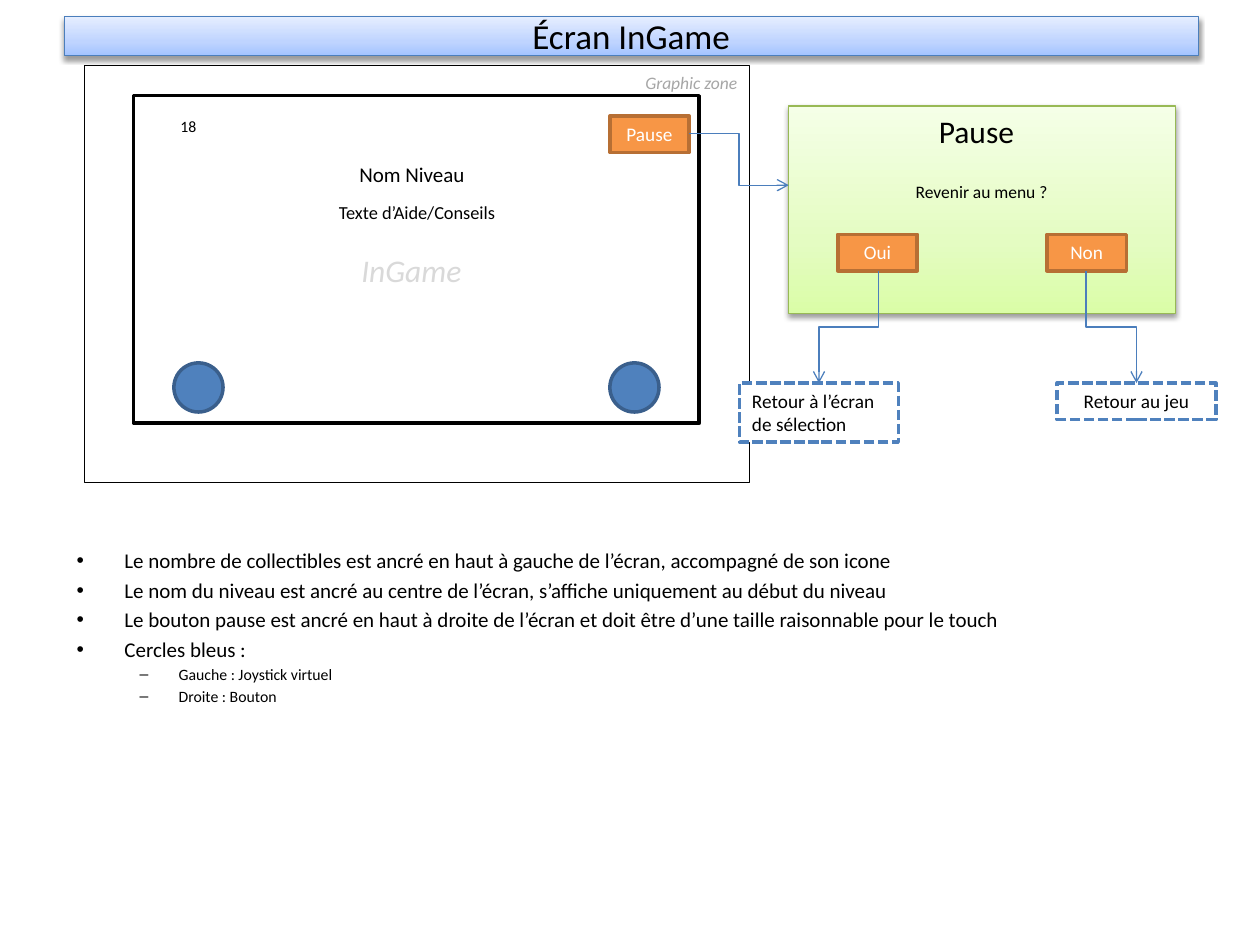
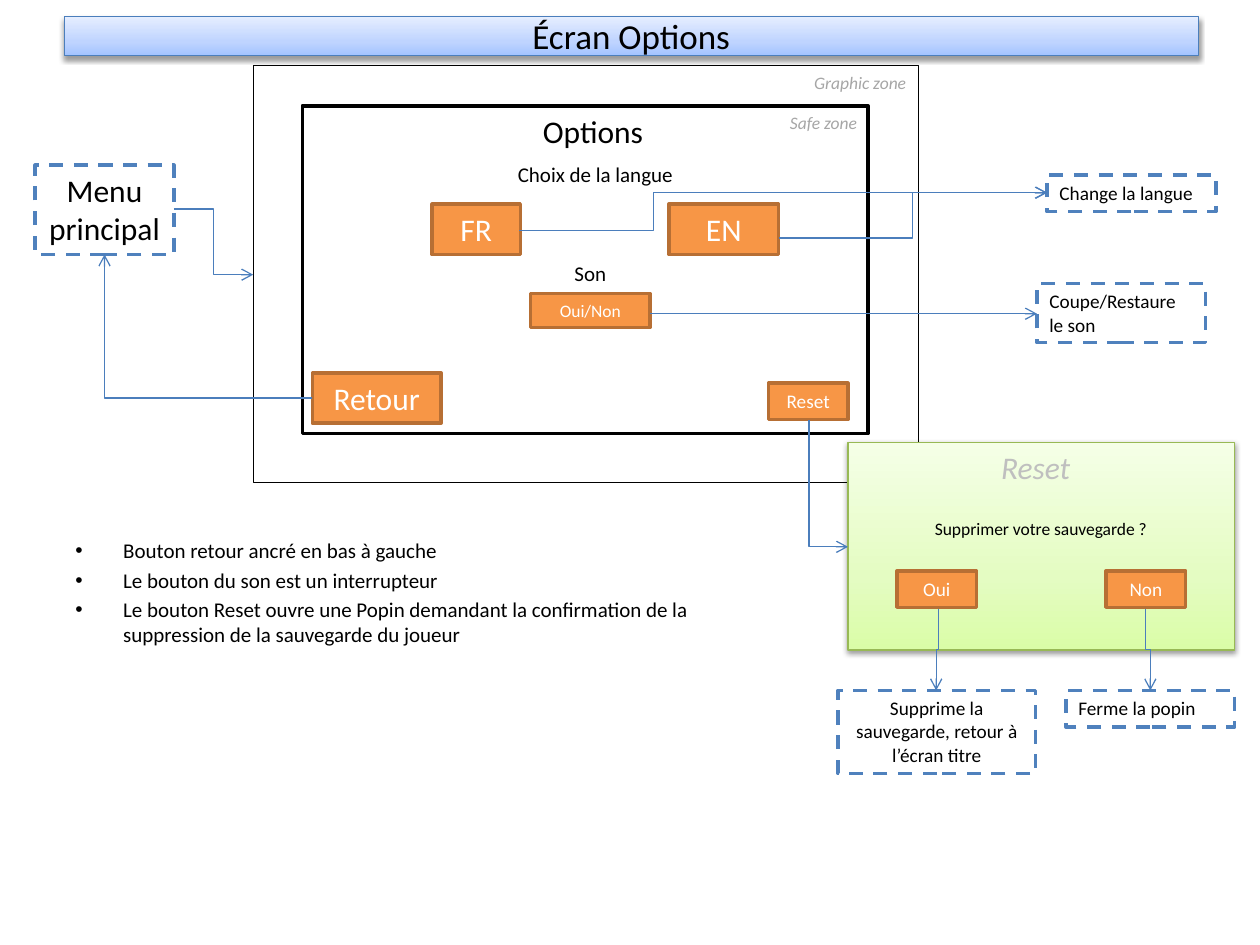
"""Build the two annotated screen mock-ups: in-game and options."""
from dataclasses import dataclass
from typing import Optional

from lxml import etree
from pptx import Presentation
from pptx.dml.color import RGBColor
from pptx.enum import dml, shapes, text
from pptx.oxml.ns import qn
from pptx.util import Inches, Pt

FONT = "Calibri"
BLACK = RGBColor(0x00, 0x00, 0x00)
WHITE = RGBColor(0xFF, 0xFF, 0xFF)
LABEL_GREY = RGBColor(0xA6, 0xA6, 0xA6)
MID_GREY = RGBColor(0xBF, 0xBF, 0xBF)
PALE_GREY = RGBColor(0xD9, 0xD9, 0xD9)
ORANGE = RGBColor(0xF7, 0x96, 0x46)
ORANGE_EDGE = RGBColor(0xB7, 0x6F, 0x34)
BLUE = RGBColor(0x4F, 0x81, 0xBD)
BLUE_EDGE = RGBColor(0x3A, 0x5F, 0x8C)
LINE_BLUE = RGBColor(0x4B, 0x7E, 0xBC)
GREEN_EDGE = RGBColor(0x98, 0xB9, 0x55)
BLUE_STOPS = ((0, RGBColor(0xA4, 0xC4, 0xFF)), (35, RGBColor(0xBF, 0xD4, 0xFF)),
              (100, RGBColor(0xE6, 0xEE, 0xFF)))
GREEN_STOPS = ((0, RGBColor(0xDA, 0xFD, 0xA7)), (35, RGBColor(0xE4, 0xFC, 0xC2)),
               (100, RGBColor(0xF5, 0xFF, 0xE7)))

LEFT, CENTER, RIGHT = text.PP_ALIGN.LEFT, text.PP_ALIGN.CENTER, text.PP_ALIGN.RIGHT
DASH, SHORT_DASH = dml.MSO_LINE.DASH, dml.MSO_LINE.SQUARE_DOT
RECT, OVAL = shapes.MSO_SHAPE.RECTANGLE, shapes.MSO_SHAPE.OVAL


@dataclass(frozen=True)
class Box:
    x: float
    y: float
    w: float
    h: float

    def lengths(self) -> tuple:
        return tuple(Inches(v) for v in (self.x, self.y, self.w, self.h))


@dataclass(frozen=True)
class Label:
    text: str
    size: float
    color: RGBColor = BLACK
    align: text.PP_ALIGN = CENTER
    italic: bool = False


@dataclass(frozen=True)
class Arrow:
    start: tuple
    end: tuple
    down_first: bool = False
    corner: bool = False
    bend: Optional[float] = None


@dataclass(frozen=True)
class Bullet:
    text: str
    level: int = 0


def child(parent, tag: str, **attrs):
    """Append a DrawingML element."""
    return etree.SubElement(parent, qn(tag), {k: str(v) for k, v in attrs.items()})


def style_run(p, size: float, color: RGBColor = BLACK, italic: bool = False) -> None:
    """Format every run of a paragraph."""
    for r in p.runs:
        r.font.name, r.font.size, r.font.italic = FONT, Pt(size), italic
        r.font.color.rgb = color


def write(sp, label: Label, anchor=text.MSO_ANCHOR.TOP) -> None:
    """Put one formatted label into a shape."""
    tf = sp.text_frame
    tf.word_wrap = True
    tf.auto_size = text.MSO_AUTO_SIZE.NONE
    tf.vertical_anchor = anchor
    tf.text = label.text
    p = tf.paragraphs[0]
    p.alignment = label.align
    style_run(p, label.size, label.color, label.italic)


def add_text(s, box: Box, label: Label) -> None:
    """Add a text box."""
    write(s.shapes.add_textbox(*box.lengths()), label)


def add_shape(s, box: Box, fill: RGBColor, edge: RGBColor, width: float = 2,
              label: Optional[Label] = None, kind=RECT, dash=None):
    """Add a flat preset shape, with text if given."""
    sp = s.shapes.add_shape(kind, *box.lengths())
    sp.shadow.inherit = False
    sp.fill.solid()
    sp.fill.fore_color.rgb = fill
    sp.line.color.rgb, sp.line.width = edge, Pt(width)
    if dash is not None:
        sp.line.dash_style = dash
    if label:
        write(sp, label)
    return sp


def add_glow(sp, stops: tuple, edge: RGBColor) -> None:
    """Give a shape an upward gradient, a thin edge and a soft shadow."""
    sp.fill.gradient()
    sp.fill.gradient_angle = 90
    gs_list = sp._element.spPr.find(qn("a:gradFill")).find(qn("a:gsLst"))
    for stop in list(gs_list):
        gs_list.remove(stop)
    for pos, color in stops:
        child(child(gs_list, "a:gs", pos=pos * 1000), "a:srgbClr", val=color)
    sp.line.color.rgb, sp.line.width = edge, Pt(0.75)
    sp.shadow.inherit = False
    effects = sp._element.spPr.find(qn("a:effectLst"))
    shadow = child(effects, "a:outerShdw", blurRad=Pt(3.1), dist=Pt(1.6),
                   dir=5400000, rotWithShape=0)
    child(child(shadow, "a:srgbClr", val=BLACK), "a:alpha", val=38000)


def add_button(s, x: float, y: float, caption: str, w: float = 0.63,
               h: float = 0.29, size: float = 11) -> None:
    """Add an orange button."""
    add_shape(s, Box(x, y, w, h), ORANGE, ORANGE_EDGE, label=Label(caption, size, WHITE))


def add_target(s, box: Box, caption: str, align=LEFT, size: float = 11, dash=DASH) -> None:
    """Add a dashed box naming where an action leads."""
    add_shape(s, box, WHITE, BLUE, label=Label(caption, size, align=align), dash=dash)


def add_arrow(s, arrow: Arrow) -> None:
    """Add a straight or bent arrow; downward starts use a rotated connector."""
    (x1, y1), (x2, y2) = arrow.start, arrow.end
    kinds = shapes.MSO_CONNECTOR
    kind = kinds.STRAIGHT if y1 == y2 else kinds.ELBOW
    rotation = 0
    if arrow.down_first:
        rotation = 90 if x2 < x1 else 270
        cx, cy = (x1 + x2) / 2, (y1 + y2) / 2
        a, b = (y2 - y1) / 2, abs(x2 - x1) / 2
        side = 1 if x2 > x1 else -1
        x1, y1, x2, y2 = cx + side * a, cy - b, cx - side * a, cy + b
    c = s.shapes.add_connector(kind, *(Inches(v) for v in (x1, y1, x2, y2)))
    c.line.color.rgb, c.line.width = LINE_BLUE, Pt(0.75)
    spPr = c._element.spPr
    if rotation:
        spPr.find(qn("a:xfrm")).set("rot", str(rotation * 60000))
    geom = spPr.find(qn("a:prstGeom"))
    if arrow.corner:
        geom.set("prst", "bentConnector2")
    if arrow.bend is not None:
        child(geom.find(qn("a:avLst")), "a:gd", name="adj1",
              fmla=f"val {round(arrow.bend * 100000)}")
    child(spPr.find(qn("a:ln")), "a:tailEnd", type="arrow")
    child(spPr, "a:effectLst")


def add_bullets(s, box: Box, bullets: list) -> None:
    """Add the two-level list of notes below the mock-up."""
    tf = s.shapes.add_textbox(*box.lengths()).text_frame
    tf.word_wrap = True
    for i, item in enumerate(bullets):
        p = tf.paragraphs[0] if i == 0 else tf.add_paragraph()
        size, margin, hang, mark = ((12, 0.38, 0.38, "•"), (9, 0.81, 0.31, "–"))[item.level]
        p.text, p.level, p.space_before = item.text, item.level, Pt(size * 0.2)
        style_run(p, size)
        pPr = p._p.get_or_add_pPr()
        pPr.set("marL", str(Inches(margin)))
        pPr.set("indent", str(-Inches(hang)))
        child(pPr, "a:buFont", typeface="Arial")
        child(pPr, "a:buChar", char=mark)


def add_screen(prs, title: str, x: float, safe_y: float):
    """Add a slide with its title band, graphic zone and safe zone."""
    s = prs.slides.add_slide(prs.slide_layouts[5])
    sp = s.shapes.title
    sp.left, sp.top, sp.width, sp.height = Box(0.51, 0.13, 9, 0.31).lengths()
    add_glow(sp, BLUE_STOPS, LINE_BLUE)
    write(sp, Label(title, 20), text.MSO_ANCHOR.MIDDLE)
    add_shape(s, Box(x, 0.52, 5.28, 3.31), WHITE, BLACK, 0.25)
    add_shape(s, Box(x + 0.39, safe_y, 4.49, 2.6), WHITE, BLACK)
    add_text(s, Box(x + 3.78, 0.52, 1.5, 0.27),
             Label("Graphic zone", 10, LABEL_GREY, RIGHT, True))
    return s


def add_popup(s, x: float, y: float, heading: Label, question: str) -> None:
    """Add a green confirmation panel with its two buttons."""
    panel = add_shape(s, Box(x, y, 3.07, 1.65), WHITE, GREEN_EDGE)
    add_glow(panel, GREEN_STOPS, GREEN_EDGE)
    add_text(s, Box(x + 0.94, y, 1.1, 0.4), heading)
    add_text(s, Box(x + 0.39, y + 0.55, 2.28, 0.27), Label(question, 10))
    for dx, caption in ((0.39, "Oui"), (2.05, "Non")):
        add_button(s, x + dx, y + 1.02, caption)


def build_ingame(prs) -> None:
    """Build the in-game screen slide."""
    s = add_screen(prs, "Écran InGame", 0.67, 0.76)
    add_bullets(s, Box(0.51, 4.3, 9, 2.36), [
        Bullet("Le nombre de collectibles est ancré en haut à gauche de l’écran, "
               "accompagné de son icone"),
        Bullet("Le nom du niveau est ancré au centre de l’écran, s’affiche uniquement "
               "au début du niveau"),
        Bullet("Le bouton pause est ancré en haut à droite de l’écran et doit être d’une "
               "taille raisonnable pour le touch"),
        Bullet("Cercles bleus :"),
        Bullet("Gauche : Joystick virtuel", 1),
        Bullet("Droite : Bouton", 1),
    ])
    add_button(s, 4.84, 0.92, "Pause")
    add_text(s, Box(1.22, 0.88, 0.55, 0.25), Label("18", 9))
    add_text(s, Box(2.64, 1.23, 1.26, 0.3), Label("Nom Niveau", 12))
    add_text(s, Box(2.09, 1.55, 2.44, 0.28), Label("Texte d’Aide/Conseils", 10.5))
    add_text(s, Box(2.48, 1.94, 1.57, 0.4), Label("InGame", 18, PALE_GREY, italic=True))
    for x in (1.38, 4.84):
        add_shape(s, Box(x, 2.88, 0.39, 0.39), BLUE, BLUE_EDGE, kind=OVAL)
    add_popup(s, 6.26, 0.84, Label("Pause", 18), "Revenir au menu ?")
    add_target(s, Box(5.87, 3.04, 1.26, 0.47), "Retour à l’écran de sélection",
               dash=SHORT_DASH)
    add_target(s, Box(8.39, 3.04, 1.26, 0.29), "Retour au jeu", CENTER, dash=SHORT_DASH)
    for arrow in (Arrow((5.47, 1.06), (6.26, 1.47)),
                  Arrow((6.97, 2.15), (6.5, 3.04), down_first=True),
                  Arrow((8.62, 2.15), (9.02, 3.04), down_first=True)):
        add_arrow(s, arrow)


def build_options(prs) -> None:
    """Build the options screen slide."""
    s = add_screen(prs, "Écran Options", 2.01, 0.84)
    add_bullets(s, Box(0.5, 4.22, 5.84, 2.48), [
        Bullet("Bouton retour ancré en bas à gauche"),
        Bullet("Le bouton du son est un interrupteur"),
        Bullet("Le bouton Reset ouvre une Popin demandant la confirmation de la "
               "suppression de la sauvegarde du joueur"),
    ])
    add_text(s, Box(6.1, 0.84, 0.8, 0.27), Label("Safe zone", 10, LABEL_GREY, RIGHT, True))
    add_text(s, Box(4.21, 0.84, 1.02, 0.4), Label("Options", 18, align=LEFT))
    add_text(s, Box(3.9, 1.23, 1.65, 0.3), Label("Choix de la langue", 12))
    add_text(s, Box(3.66, 2.02, 2.05, 0.3), Label("Son", 12))
    add_button(s, 3.43, 1.62, "FR", 0.7, 0.4, 18)
    add_button(s, 5.31, 1.62, "EN", 0.87, 0.4, 18)
    add_button(s, 4.21, 2.33, "Oui/Non", 0.95, 0.27, 10)
    add_button(s, 2.48, 2.96, "Retour", 1.02, 0.4, 18)
    add_button(s, 6.1, 3.04, "Reset")
    add_popup(s, 6.73, 3.51, Label("Reset", 18, MID_GREY, italic=True),
              "Supprimer votre sauvegarde ?")
    add_target(s, Box(0.28, 1.31, 1.1, 0.71), "Menu principal", CENTER, 18)
    add_target(s, Box(8.31, 1.39, 1.34, 0.29), "Change la langue")
    add_target(s, Box(8.23, 2.25, 1.34, 0.47), "Coupe/Restaure le son")
    add_target(s, Box(6.65, 5.48, 1.57, 0.66),
               "Supprime la sauvegarde, retour à l’écran titre", CENTER)
    add_target(s, Box(8.46, 5.48, 1.34, 0.29), "Ferme la popin")
    for arrow in (Arrow((1.38, 1.66), (2.01, 2.18)),
                  Arrow((4.12, 1.83), (8.31, 1.53), bend=0.255),
                  Arrow((6.18, 1.89), (8.31, 1.53)),
                  Arrow((5.16, 2.49), (8.23, 2.49)),
                  Arrow((2.48, 3.16), (0.83, 2.02), corner=True),
                  Arrow((6.42, 3.33), (6.73, 4.34), down_first=True, corner=True),
                  Arrow((7.45, 4.83), (7.43, 5.48), down_first=True),
                  Arrow((9.09, 4.83), (9.13, 5.48), down_first=True)):
        add_arrow(s, arrow)


prs = Presentation()
prs.slide_width, prs.slide_height = Inches(10), Inches(7.5)
build_ingame(prs)
build_options(prs)
prs.save("out.pptx")
